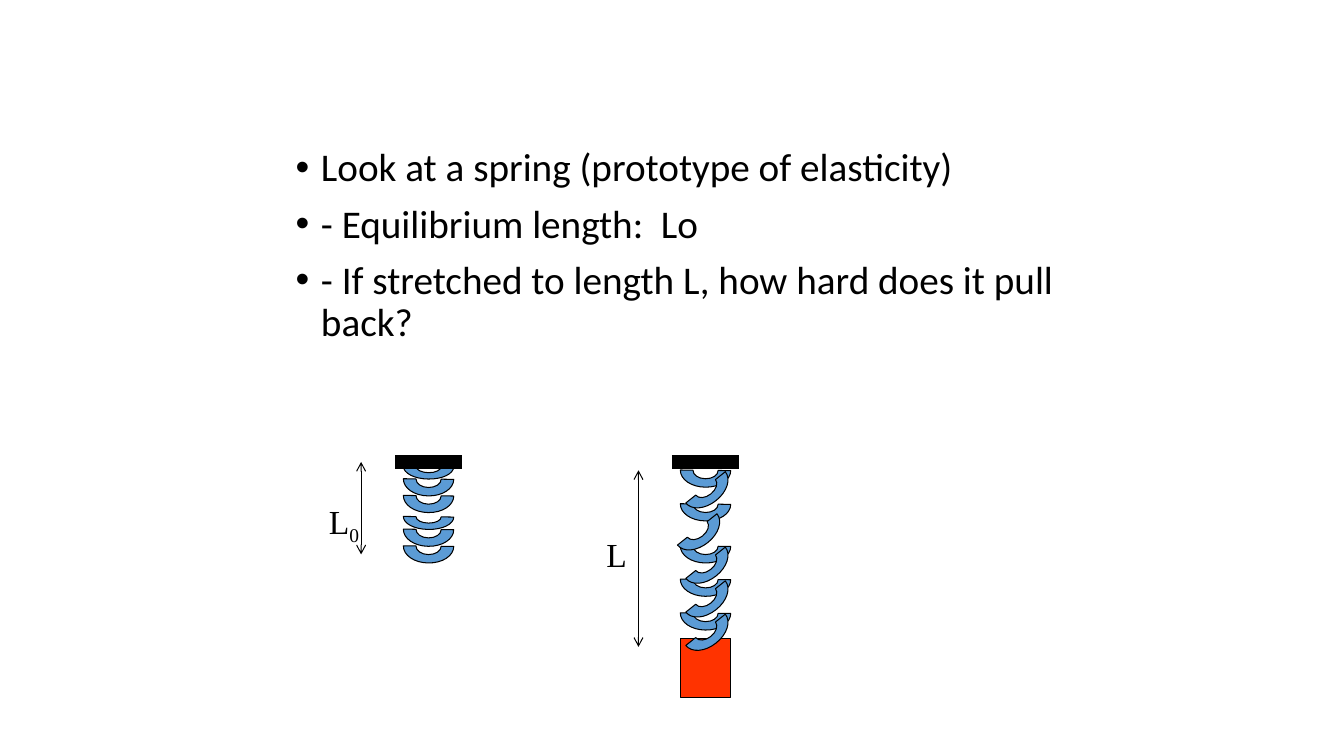
import pptx
import pptx.dml.color
import pptx.enum.shapes
import pptx.oxml.ns
import pptx.util
from lxml import etree

Cm = pptx.util.Cm
Pt = pptx.util.Pt
qn = pptx.oxml.ns.qn
BLACK = pptx.dml.color.RGBColor(0x00, 0x00, 0x00)
COIL_BLUE = pptx.dml.color.RGBColor(0x5B, 0x9B, 0xD5)
WEIGHT_RED = pptx.dml.color.RGBColor(0xFF, 0x33, 0x00)

POINTS = [
    "Look at a spring (prototype of elasticity)",
    "- Equilibrium length:  Lo",
    "- If stretched to length L, how hard does it pull back?",
]

# All lengths are in centimetres.
COIL_WIDTH = 1.27
COIL_HEIGHT = 0.85
FLAT, TILTED = 180.7, 141.7

# Half a ring in fractions of its box: (end point, curve controls) of each piece.
RING_START = (0.25, 0.5)
RING_PIECES = [
    ((0.5, 0.25), [(0.25, 0.36), (0.36, 0.25)]),
    ((0.75, 0.5), [(0.64, 0.25), (0.75, 0.36)]),
    ((1, 0.5), []),
    ((0.5, 0), [(1, 0.22), (0.78, 0)]),
    ((0, 0.5), [(0.22, 0), (0, 0.22)]),
]

# The relaxed spring is two equal groups of coils: (drop within group, height).
RELAXED_X = 10.8
RELAXED_GROUP_CENTRES = [13.02, 11.75]
RELAXED_GROUP = [(0, 0.64), (0.32, COIL_HEIGHT), (0.74, COIL_HEIGHT)]

# The stretched spring: coil centres.
STRETCHED_X = 17.78
STRETCHED_FLAT = [(STRETCHED_X, y) for y in (11.85, 15.45, 12.7, 13.76, 14.6)]
STRETCHED_TILTED = [(STRETCHED_X, 12.28), (STRETCHED_X, 14.18), (17.57, 13.34),
                    (STRETCHED_X, 15.03), (STRETCHED_X, 15.87)]

CEILING_Y = 11.64
CEILING_WIDTH = 1.69
WEIGHT_TOP, WEIGHT_HEIGHT = 16.09, 1.48
# (x, top, bottom) of each length arrow
RELAXED_LENGTH = (9.1, 11.64, 13.97)
STRETCHED_LENGTH = (16.09, 11.85, 16.3)

presentation = pptx.Presentation()
presentation.slide_width = Cm(33.87)
presentation.slide_height = Cm(19.05)
slide = presentation.slides.add_slide(presentation.slide_layouts[6])
shapes = slide.shapes


def add_text(paragraphs, left, top, width, height, font="Calibri", size=28,
             bullet=False, spacing=None, before=0):
    """Each paragraph is a list of (text, baseline shift in 1/1000 percent)."""
    frame = shapes.add_textbox(Cm(left), Cm(top), Cm(width), Cm(height)).text_frame
    frame.word_wrap = True
    for index, runs in enumerate(paragraphs):
        paragraph = frame.paragraphs[0] if index == 0 else frame.add_paragraph()
        paragraph.space_before = Pt(before)
        paragraph.line_spacing = spacing
        for text, shift in runs:
            run = paragraph.add_run()
            run.text = text
            run.font.name = font
            run.font.size = Pt(size)
            run.font.color.rgb = BLACK
            if shift:
                run.font._element.set("baseline", str(shift))
        if bullet:
            properties = paragraph._p.get_or_add_pPr()
            properties.set("marL", str(Cm(0.64)))
            properties.set("indent", str(-Cm(0.64)))
            etree.SubElement(properties, qn("a:buFont")).set("typeface", "Arial")
            etree.SubElement(properties, qn("a:buChar")).set("char", "•")


def paint(shape, color):
    shape.shadow.inherit = False
    shape.fill.solid()
    shape.fill.fore_color.rgb = color
    shape.line.color.rgb = BLACK
    shape.line.width = Pt(0.75)


def add_coil(x, y, height=COIL_HEIGHT, angle=FLAT):
    """Half an elliptical ring, turned about the centre of the whole ellipse."""
    left, top = x - COIL_WIDTH / 2, y - height / 2

    def place(point):
        return Cm(left + point[0] * COIL_WIDTH), Cm(top + point[1] * height)

    builder = shapes.build_freeform(*place(RING_START))
    builder.add_line_segments([place(end) for end, _ in RING_PIECES], close=True)
    coil = builder.convert_to_shape()

    # The box covers the whole ellipse, so that it turns about the right centre.
    outline = next(coil._element.iter(qn("a:path")))
    outline.set("h", str(Cm(height)))
    coil.height = Cm(height)
    coil.rotation = angle

    for piece, (_, controls) in zip(outline.findall(qn("a:lnTo")), RING_PIECES):
        if controls:
            curve = etree.Element(qn("a:cubicBezTo"))
            for across, down in controls:
                etree.SubElement(curve, qn("a:pt"), x=str(Cm(across * COIL_WIDTH)),
                                 y=str(Cm(down * height)))
            curve.append(piece[0])
            outline.replace(piece, curve)
    paint(coil, COIL_BLUE)


def add_line(x1, y1, x2, y2, width=0.75, arrows=False):
    line = shapes.add_connector(pptx.enum.shapes.MSO_CONNECTOR.STRAIGHT,
                                Cm(x1), Cm(y1), Cm(x2), Cm(y2))
    line.line.color.rgb = BLACK
    line.line.width = Pt(width)
    if arrows:
        stroke = line.line._get_or_add_ln()
        for end in ("a:headEnd", "a:tailEnd"):
            etree.SubElement(stroke, qn(end)).set("type", "arrow")
    etree.SubElement(line._element.spPr, qn("a:effectLst"))


add_text([[(point, 0)] for point in POINTS], 7.2, 3.6, 21.17, 13.12,
         bullet=True, spacing=0.9, before=10)

for group_centre in RELAXED_GROUP_CENTRES:
    for drop, coil_height in RELAXED_GROUP:
        add_coil(RELAXED_X, group_centre + drop, coil_height)
add_line(*RELAXED_LENGTH[:2], RELAXED_LENGTH[0], RELAXED_LENGTH[2], arrows=True)
add_text([[("L", 0), ("0", -25000)]], 8.04, 12.49, 1.69, 1.27, font="Times New Roman", size=24)

for x, y in STRETCHED_FLAT:
    add_coil(x, y)
weight = shapes.add_shape(pptx.enum.shapes.MSO_SHAPE.RECTANGLE,
                          Cm(STRETCHED_X - COIL_WIDTH / 2), Cm(WEIGHT_TOP),
                          Cm(COIL_WIDTH), Cm(WEIGHT_HEIGHT))
paint(weight, WEIGHT_RED)
for x, y in STRETCHED_TILTED:
    add_coil(x, y, angle=TILTED)

for x in (RELAXED_X, STRETCHED_X):
    add_line(x - CEILING_WIDTH / 2, CEILING_Y, x + CEILING_WIDTH / 2, CEILING_Y, width=10)
add_line(*STRETCHED_LENGTH[:2], STRETCHED_LENGTH[0], STRETCHED_LENGTH[2], arrows=True)
add_text([[("L", 0)]], 15.03, 13.34, 1.48, 1.27, font="Times New Roman", size=24)

presentation.save("out.pptx")
